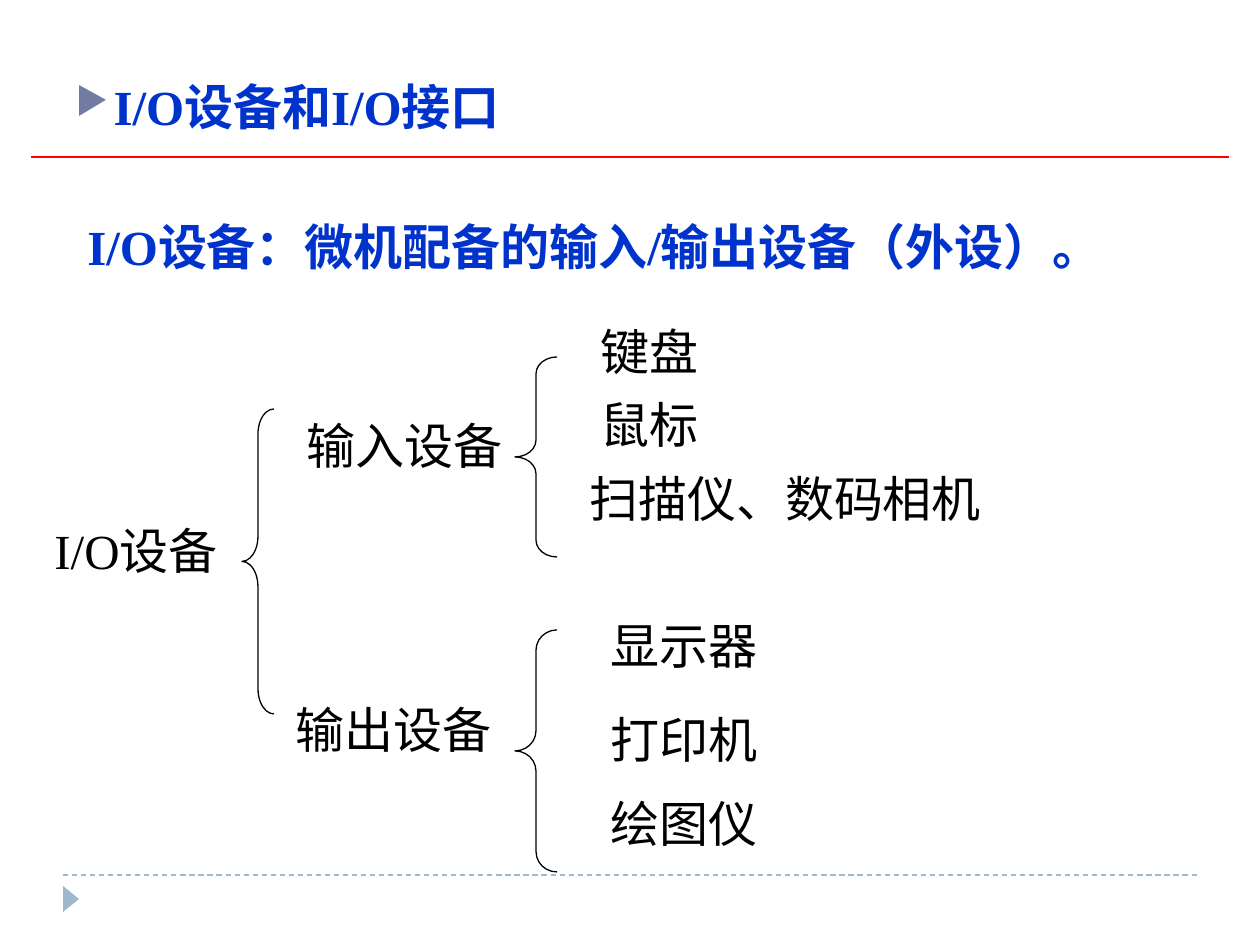
from lxml import etree
from pptx import Presentation
from pptx.dml.color import RGBColor
from pptx.enum.dml import MSO_LINE
from pptx.enum.shapes import MSO_CONNECTOR, MSO_SHAPE
from pptx.enum.text import MSO_ANCHOR, PP_ALIGN
from pptx.oxml.ns import qn
from pptx.util import Emu, Pt

STRAIGHT = MSO_CONNECTOR.STRAIGHT
LEFT_BRACE = MSO_SHAPE.LEFT_BRACE
TRIANGLE = MSO_SHAPE.ISOSCELES_TRIANGLE
DASH = MSO_LINE.DASH
MIDDLE = MSO_ANCHOR.MIDDLE
LEFT = PP_ALIGN.LEFT

BLUE = RGBColor(0x00, 0x33, 0xCC)
BLACK = RGBColor(0x00, 0x00, 0x00)
RED = RGBColor(0xFF, 0x00, 0x00)
PALE_BLUE = RGBColor(0x9F, 0xB8, 0xCD)
BULLET_COLOR = "727CA3"
FONT = "Times New Roman"
LABEL_HEIGHT = 72


def px(length):
    return Emu(round(length * 914400 / 126))


def write(shape, text, color, bold=False):
    frame = shape.text_frame
    frame.word_wrap = True
    frame.vertical_anchor = MIDDLE
    frame.text = text
    paragraph = frame.paragraphs[0]
    paragraph.alignment = LEFT
    font = paragraph.runs[0].font
    font.name = FONT
    font.size = Pt(28)
    font.bold = bold
    font.color.rgb = color
    return paragraph


def add_label(slide, text, left, top, width, color=BLACK, bold=False):
    label = slide.shapes.add_textbox(px(left), px(top), px(width), px(LABEL_HEIGHT))
    write(label, text, color, bold)


def add_rule(slide, left, top, width, color, dash=None):
    rule = slide.shapes.add_connector(
        STRAIGHT, px(left), px(top), px(left + width), px(top))
    rule.line.color.rgb = color
    rule.line.width = Pt(0.75)
    if dash is not None:
        rule.line.dash_style = dash
    etree.SubElement(rule._element.spPr, qn("a:effectLst"))


def add_brace(slide, left, top, width, height):
    brace = slide.shapes.add_shape(LEFT_BRACE, px(left), px(top), px(width), px(height))
    brace.shadow.inherit = False
    brace.fill.background()
    brace.line.color.rgb = BLACK
    brace.line.width = Pt(0.75)
    brace.adjustments[0] = round(height / 12 / width, 2)


def add_heading(slide, left, top, width):
    title = slide.shapes.title
    title.left, title.top = px(left), px(top)
    title.width, title.height = px(width), px(LABEL_HEIGHT)
    properties = write(title, "I/O设备和I/O接口", BLUE, True)._p.get_or_add_pPr()
    properties.set("marL", str(px(38)))
    properties.set("indent", str(-px(38)))
    bullet_color = etree.SubElement(properties, qn("a:buClr"))
    etree.SubElement(bullet_color, qn("a:srgbClr"), val=BULLET_COLOR)
    etree.SubElement(properties, qn("a:buSzPct"), val="76000")
    etree.SubElement(properties, qn("a:buChar"), char="▶")
    add_rule(slide, left - 32, top + 87, width + 64, RED)


def add_device_tree(slide, left, top):
    add_label(slide, "I/O设备", left, top + 199, 231)
    add_brace(slide, left + 200, top + 94, 32, 305)
    branches = [
        ("输入设备", 252, 94, 42, 200,
         [("键盘", 546, 0), ("鼠标", 546, 73), ("扫描仪、数码相机", 535, 147)]),
        ("输出设备", 241, 378, 315, 242,
         [("显示器", 556, 294), ("打印机", 556, 388), ("绘图仪", 556, 472)]),
    ]
    for branch, x, y, brace_y, brace_height, devices in branches:
        add_label(slide, branch, left + x, top + y, 252)
        add_brace(slide, left + 473, top + brace_y, 42, brace_height)
        for device, device_x, device_y in devices:
            add_label(slide, device, left + device_x, top + device_y, 472)


def add_footer(slide, left, top, width):
    add_rule(slide, left, top, width, PALE_BLUE, DASH)
    marker = slide.shapes.add_shape(
        TRIANGLE, px(left - 5), px(top + 16), px(26), px(16))
    marker.rotation = 90
    marker.shadow.inherit = False
    marker.fill.solid()
    marker.fill.fore_color.rgb = PALE_BLUE
    marker.line.fill.background()


def main():
    presentation = Presentation()
    presentation.slide_width = px(1260)
    presentation.slide_height = px(945)
    slide = presentation.slides.add_slide(presentation.slide_layouts[5])
    add_footer(slide, 63, 875, 1134)
    add_heading(slide, 63, 70, 1134)
    add_label(slide, "I/O设备：微机配备的输入/输出设备（外设）。", 75, 210, 1134, BLUE, True)
    add_device_tree(slide, 42, 315)
    presentation.save("out.pptx")


if __name__ == "__main__":
    main()
